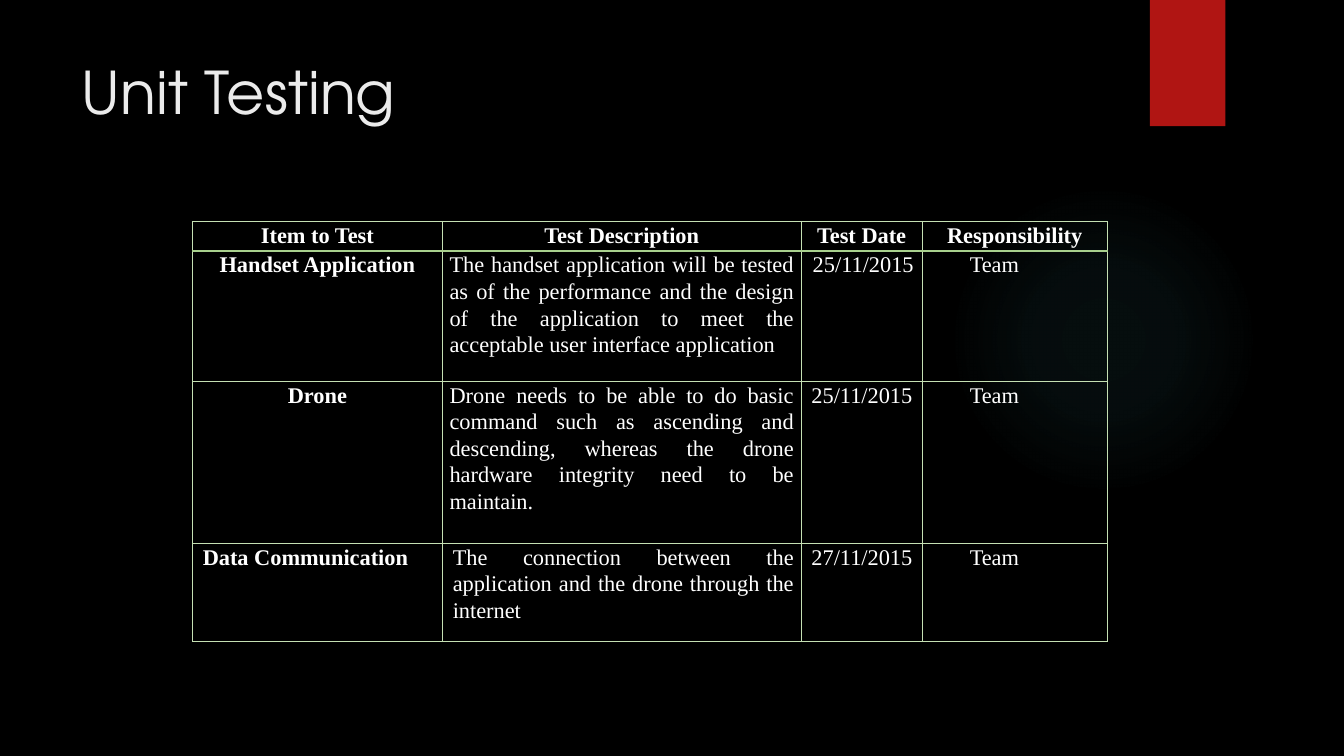
from lxml import etree
from pptx import Presentation
from pptx.dml.color import RGBColor
from pptx.enum.shapes import MSO_SHAPE
from pptx.enum.text import MSO_ANCHOR, PP_ALIGN
from pptx.oxml import parse_xml
from pptx.oxml.ns import nsdecls, qn
from pptx.util import Cm, Pt

RECT, OVAL = MSO_SHAPE.RECTANGLE, MSO_SHAPE.OVAL
TOP = MSO_ANCHOR.TOP
LEFT, CENTER, JUSTIFY = PP_ALIGN.LEFT, PP_ALIGN.CENTER, PP_ALIGN.JUSTIFY

BLACK = RGBColor(0x00, 0x00, 0x00)
WHITE = RGBColor(0xFF, 0xFF, 0xFF)
TITLE_GREY = RGBColor(0xEB, 0xEB, 0xEB)
RED = RGBColor(0xB0, 0x15, 0x13)
TEAL = RGBColor(0x50, 0xB9, 0xC1)
PALE_GREEN = RGBColor(0xC5, 0xE0, 0xB3)
GREEN = RGBColor(0xA8, 0xD0, 0x8D)

TITLE_FONT = dict(name="TeX Gyre Adventor", size=Pt(42), bold=False)
CELL_FONT = dict(name="Times New Roman", size=Pt(16))
CELL_MARGINS = dict(margin_left=Cm(0.18), margin_right=Cm(0.18),
                    margin_top=0, margin_bottom=0, vertical_anchor=TOP)

COL_WIDTHS = [6.3, 9.04, 3.05, 4.67]
ROW_HEIGHTS = [0.74, 3.28, 4.09, 2.46]
NUDGE, TEAM_INDENT = 0.08, 1.02

ROWS = [
    [("Item to Test", CENTER, 0), ("Test Description", CENTER, 0),
     ("Test Date", CENTER, 0), ("Responsibility", CENTER, 0)],
    [("Handset Application", CENTER, 0),
     ("The handset application will be tested as of the performance and the "
      "design of the application to meet the acceptable user interface "
      "application", JUSTIFY, 0),
     ("25/11/2015", CENTER, NUDGE), ("Team", JUSTIFY, TEAM_INDENT)],
    [("Drone", CENTER, 0),
     ("Drone needs to be able to do basic command such as ascending and "
      "descending, whereas the drone hardware integrity need to be maintain.",
      JUSTIFY, 0),
     ("25/11/2015", JUSTIFY, NUDGE), ("Team", JUSTIFY, TEAM_INDENT)],
    [("Data Communication", JUSTIFY, NUDGE),
     ("The connection between the application and the drone through the "
      "internet", JUSTIFY, NUDGE),
     ("27/11/2015", JUSTIFY, NUDGE), ("Team", JUSTIFY, TEAM_INDENT)],
]


def set_attrs(obj, values):
    for name, value in values.items():
        setattr(obj, name, value)


def add_plain_shape(s, kind, box, color):
    sp = s.shapes.add_shape(kind, *map(Cm, box))
    sp.shadow.inherit = False
    sp.fill.solid()
    sp.fill.fore_color.rgb = color
    sp.line.fill.background()
    return sp


def add_glow(s, box):
    sp = add_plain_shape(s, OVAL, box, TEAL)
    stops = "".join(
        f'<a:gs pos="{pos * 1000}"><a:srgbClr val="{TEAL}">'
        f'<a:alpha val="{alpha * 1000}"/></a:srgbClr></a:gs>'
        for pos, alpha in [(0, 7), (36, 6), (69, 0), (100, 0)])
    solid = sp._element.spPr.find(qn("a:solidFill"))
    solid.getparent().replace(solid, parse_xml(
        f'<a:gradFill {nsdecls("a")}><a:gsLst>{stops}</a:gsLst>'
        '<a:path path="circle"><a:fillToRect l="50000" t="50000" r="50000" '
        'b="50000"/></a:path></a:gradFill>'))


def add_ribbon(s, box):
    sp = add_plain_shape(s, RECT, box, RED)
    sp._element.spPr.find(qn("a:effectLst")).append(parse_xml(
        f'<a:outerShdw {nsdecls("a")} blurRad="{Pt(3)}" dist="{Pt(2)}" '
        'dir="5400000" rotWithShape="0"><a:srgbClr val="000000">'
        '<a:alpha val="45000"/></a:srgbClr></a:outerShdw>'))


def add_title(s, box, text):
    sp = s.shapes.title
    set_attrs(sp, dict(zip(("left", "top", "width", "height"), map(Cm, box))))
    tf = sp.text_frame
    set_attrs(tf, dict(text=text, vertical_anchor=TOP, word_wrap=True))
    p = tf.paragraphs[0]
    p.alignment = LEFT
    set_attrs(p.font, TITLE_FONT)
    p.font.color.rgb = TITLE_GREY


def set_border(cell, index, side, color, width):
    ln = etree.Element(qn(f"a:ln{side}"), w=str(Pt(width)))
    fill = etree.SubElement(ln, qn("a:solidFill"))
    etree.SubElement(fill, qn("a:srgbClr"), val=str(color))
    cell._tc.get_or_add_tcPr().insert(index, ln)


def fill_cell(cell, row, col):
    text, alignment, indent = ROWS[row][col]
    set_attrs(cell, CELL_MARGINS)
    cell.fill.background()
    cell.text = text
    p = cell.text_frame.paragraphs[0]
    set_attrs(p, dict(alignment=alignment, line_spacing=1.07))
    p._p.get_or_add_pPr().set("marL", str(Cm(indent)))
    set_attrs(p.font, CELL_FONT)
    p.font.bold = row == 0 or col == 0
    p.font.color.rgb = WHITE
    for index, side in enumerate("LRTB"):
        under_header = (row, side) in [(0, "B"), (1, "T")]
        color, width = (GREEN, 1.5) if under_header else (PALE_GREEN, 1)
        set_border(cell, index, side, color, width)


def add_test_table(s, left, top):
    table = s.shapes.add_table(
        len(ROWS), len(COL_WIDTHS), Cm(left), Cm(top),
        Cm(sum(COL_WIDTHS)), Cm(sum(ROW_HEIGHTS))).table
    set_attrs(table, dict(first_row=False, horz_banding=False))
    for column, width in zip(table.columns, COL_WIDTHS):
        column.width = Cm(width)
    for row, height in enumerate(ROW_HEIGHTS):
        table.rows[row].height = Cm(height)
        for col in range(len(COL_WIDTHS)):
            fill_cell(table.cell(row, col), row, col)


def main():
    prs = Presentation()
    prs.slide_width, prs.slide_height = Cm(33.87), Cm(19.05)
    s = prs.slides.add_slide(prs.slide_layouts[5])
    s.background.fill.solid()
    s.background.fill.fore_color.rgb = BLACK
    add_glow(s, (23.9, 4.65, 7.82, 7.82))
    add_ribbon(s, (28.98, 0, 1.9, 3.18))
    add_title(s, (1.8, 1.27, 26.14, 3.89), "Unit Testing")
    add_test_table(s, 4.85, 5.59)
    prs.save("out.pptx")


if __name__ == "__main__":
    main()
